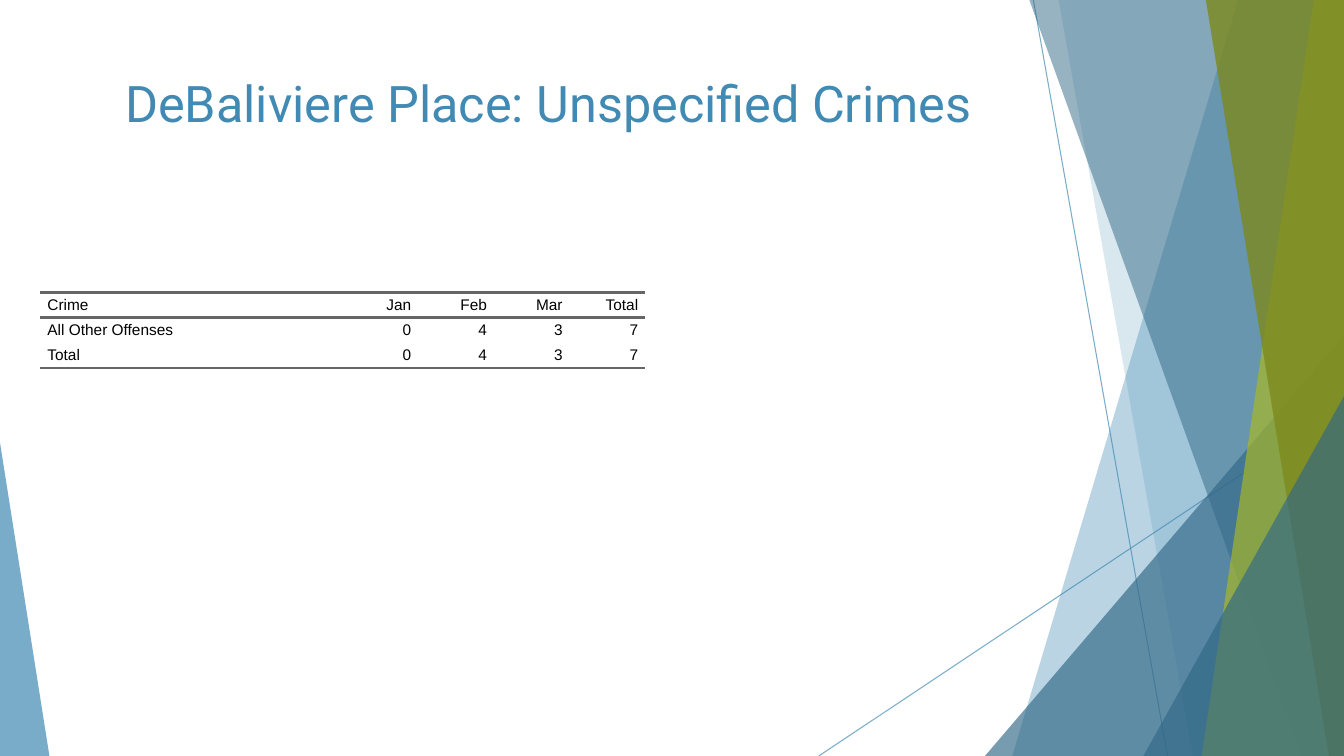
from dataclasses import dataclass

from lxml.etree import SubElement
from pptx import Presentation
from pptx.dml.color import RGBColor as RGB
from pptx.enum.shapes import MSO_CONNECTOR as CONN, MSO_SHAPE as SHAPE
from pptx.enum.text import MSO_ANCHOR as ANCHOR, MSO_AUTO_SIZE as FIT, PP_ALIGN as ALIGN
from pptx.oxml import parse_xml
from pptx.oxml.ns import nsdecls, qn
from pptx.util import Inches, Pt


@dataclass
class Theme:
    blue: str = "418AB3"
    navy: str = "316886"
    lime: str = "A6B727"
    olive: str = "7D891D"
    rule: str = "666666"
    ink: str = "000000"
    title_font: str = "Roboto"
    table_font: str = "Arial"
    title_size: int = 36
    table_size: int = 11
    spacing: int = 5
    rule_width: int = 2
    line_width: float = 0.75


th = Theme()
prs = Presentation()
prs.slide_width, prs.slide_height = Inches(13.33), Inches(7.5)
s = prs.slides.add_slide(prs.slide_layouts[5])


def share(x, y):
    return round(prs.slide_width * x / 100), round(prs.slide_height * y / 100)


def paint(fmt, color, opacity):
    fmt.solid()
    fmt.fore_color.rgb = RGB.from_string(color)
    clr = fmt._xPr.find(".//" + qn("a:srgbClr"))
    SubElement(clr, qn("a:alpha")).set("val", str(opacity * 1000))


for start, end in [((76.89, 0), (86.87, 100)), ((100, 53.73), (60.92, 100))]:
    line = s.shapes.add_connector(CONN.STRAIGHT, *share(*start), *share(*end))
    line.line.width = Pt(th.line_width)
    paint(line.line.fill, th.blue, 70)
    SubElement(line._element.spPr, qn("a:effectLst"))

facets = [
    ("band", (92.12, 75.32), th.blue, 36),
    ("band", (78.77, 88.75), th.blue, 20),
    ("triangle", (73.29, 44.4, 26.71, 1), th.navy, 66),
    ("band", (76.59, 96.85), th.navy, 50),
    ("band", (97.75, 89.42), th.lime, 70),
    ("band", (89.72, 98.87), th.olive, 80),
    ("triangle", (85.07, 52.4, 14.93, 1), th.navy, 66),
    ("triangle", (0, 58.53, 3.68, 0), th.blue, 70),
]
for kind, geometry, color, opacity in facets:
    if kind == "band":
        top, bottom = geometry
        fb = s.shapes.build_freeform(*share(top, 0))
        fb.add_line_segments([share(100, 0), share(100, 100), share(bottom, 100)])
        sp = fb.convert_to_shape()
    else:
        left, top, width, apex = geometry
        sp = s.shapes.add_shape(SHAPE.ISOSCELES_TRIANGLE, *share(left, top), *share(width, 100 - top))
        sp.adjustments[0] = apex
    paint(sp.fill, color, opacity)
    sp.line.fill.background()
    sp.shadow.inherit = False

rows = [
    ("Crime", "Jan", "Feb", "Mar", "Total"),
    ("All Other Offenses", "0", "4", "3", "7"),
    ("Total", "0", "4", "3", "7"),
]
col_shares = [22.5] + [5.63] * 4
row_share = 3.33
rules = {0: ("lnT", "lnB"), len(rows) - 1: ("lnB",)}
frame = s.shapes.add_table(len(rows), len(col_shares), *share(3, 38.67),
                           *share(sum(col_shares), row_share * len(rows)))
table = frame.table
table.horz_banding = table.first_row = False
table._tbl.tblPr.find(qn("a:tableStyleId")).text = "{2D5ABB26-0587-4C30-8999-92F81FD0307C}"
for col, width in zip(table.columns, col_shares):
    col.width = share(width, 0)[0]

for i, values in enumerate(rows):
    table.rows[i].height = share(0, row_share)[1]
    for j, value in enumerate(values):
        cell = table.cell(i, j)
        cell.text_frame.text = value
        cell.vertical_anchor = ANCHOR.MIDDLE
        cell.margin_left = cell.margin_right = cell.margin_top = cell.margin_bottom = 0
        for edge in rules.get(i, ()):
            cell._tc.get_or_add_tcPr().append(parse_xml(
                f'<a:{edge} {nsdecls("a")} w="{Pt(th.rule_width)}"><a:solidFill>'
                f'<a:srgbClr val="{th.rule}"/></a:solidFill></a:{edge}>'))
        cell.fill.background()
        p = cell.text_frame.paragraphs[0]
        p.alignment = ALIGN.RIGHT if j else ALIGN.LEFT
        p.space_before = p.space_after = Pt(th.spacing)
        for side in ("marL", "marR"):
            p._p.get_or_add_pPr().set(side, str(Inches(0.07)))
        r = p.runs[0]
        r.font.name, r.font.size = th.table_font, Pt(th.table_size)
        r.font.color.rgb = RGB.from_string(th.ink)

title = s.shapes.title
title.left, title.top = share(5.55, 8.93)
title.width, title.height = share(70.52, 19.2)
tf = title.text_frame
tf.text = "DeBaliviere Place: Unspecified Crimes"
tf.word_wrap, tf.auto_size, tf.vertical_anchor = True, FIT.NONE, ANCHOR.TOP
p = tf.paragraphs[0]
p.alignment = ALIGN.CENTER
r = p.runs[0]
r.font.name, r.font.size = th.title_font, Pt(th.title_size)
r.font.color.rgb = RGB.from_string(th.blue)

prs.save("out.pptx")
